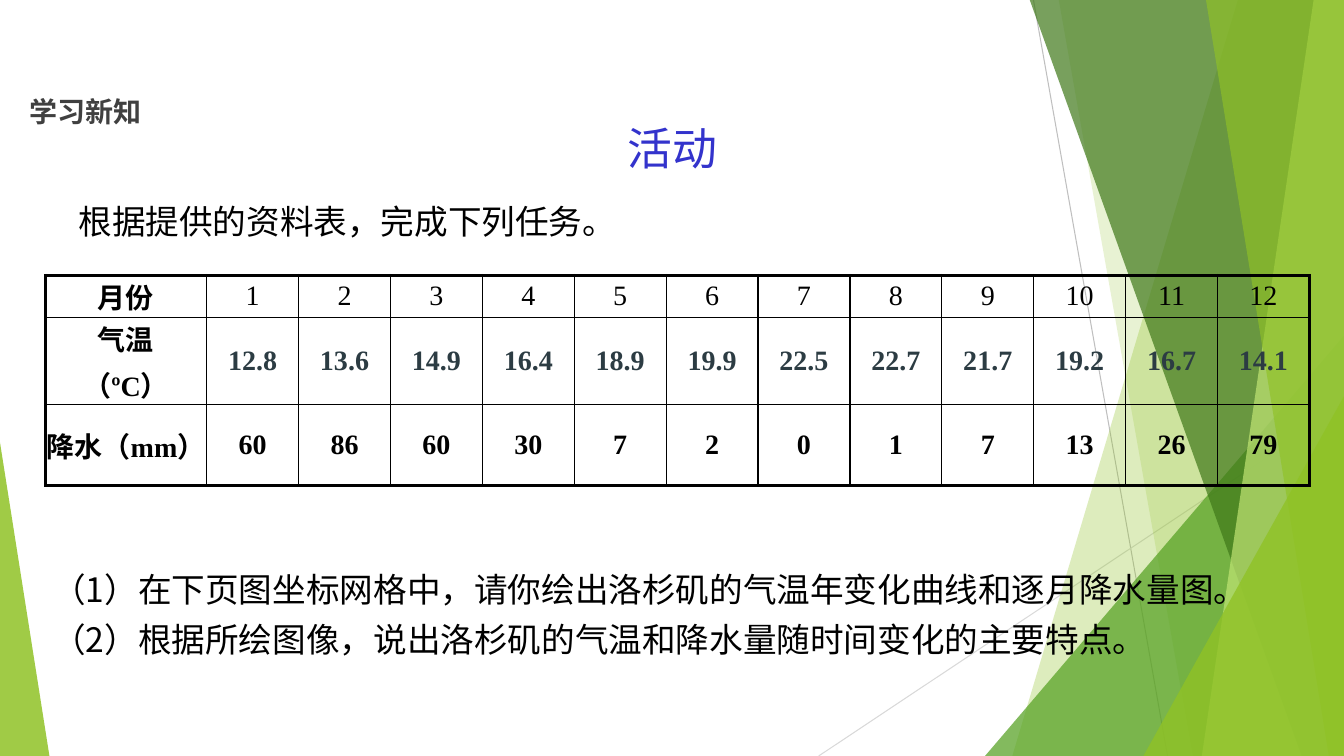
from lxml import etree
from pptx import Presentation
from pptx.dml.color import RGBColor
from pptx.enum.shapes import MSO_CONNECTOR, MSO_SHAPE
from pptx.enum.text import MSO_ANCHOR, PP_ALIGN
from pptx.oxml.ns import qn
from pptx.util import Emu, Pt

STRAIGHT = MSO_CONNECTOR.STRAIGHT
TRIANGLE = MSO_SHAPE.ISOSCELES_TRIANGLE
CENTER, LEFT, MIDDLE = PP_ALIGN.CENTER, PP_ALIGN.LEFT, MSO_ANCHOR.MIDDLE
PX = 9144  # 100 px to the inch
SLIDE_W, SLIDE_H = 1333, 750
SANS, SERIF = "Noto Sans CJK SC", "Times New Roman"
BLACK = "000000"

# Backdrop, from back to front
RAYS = [((1025, 0), (1158, 750), "BFBFBF"), ((1333, 403), (812, 750), "D9D9D9")]
# band: top left x, bottom left x, colour, opacity; each runs to the right edge
# triangle: box, apex position, colour, opacity
BACKDROP = [
    ("band", (1228, 1004), "90C226", 30),
    ("band", (1050, 1183), "90C226", 20),
    ("triangle", (977, 333, 356, 417), 1, "54A021", 72),
    ("band", (1021, 1291), "3F7819", 70),
    ("band", (1303, 1192), "C0E474", 70),
    ("band", (1196, 1318), "90C226", 65),
    ("triangle", (1134, 393, 199, 357), 1, "90C226", 80),
    ("triangle", (0, 439, 49, 311), 0, "90C226", 85),
]

# Climate table: label lines, monthly values, value format
CLIMATE_ROWS = [
    (["月份"], list(range(1, 13)), {"bold": False, "color": BLACK}),
    (["气温", "（ºC）"],
     [12.8, 13.6, 14.9, 16.4, 18.9, 19.9, 22.5, 22.7, 21.7, 19.2, 16.7, 14.1],
     {"bold": True, "color": "2C3C43"}),
    (["降水（mm）"], [60, 86, 60, 30, 7, 2, 0, 1, 7, 13, 26, 79],
     {"bold": True, "color": BLACK}),
]
TABLE_BOX = (45, 273, 1254, 182)
LABEL_WIDTH = 160
ROW_HEIGHTS = [42, 73, 67]
LABEL_FORMAT = {"bold": True, "color": BLACK}
THIN, THICK = 1, 2.25

# Text: box, lines, font format, paragraph format, wrap
TEXTS = [
    ((68, 194, 1186, 50), ["根据提供的资料表，完成下列任务。"],
     {"size": Pt(24), "color": BLACK}, {"alignment": LEFT}, True),
    ((42, 549, 1226, 106),
     ["（1）在下页图坐标网格中，请你绘出洛杉矶的气温年变化曲线和逐月降水量图。",
      "（2）根据所绘图像，说出洛杉矶的气温和降水量随时间变化的主要特点。"],
     {"size": Pt(24), "color": BLACK}, {"alignment": LEFT, "line_spacing": 1.25}, True),
    ((606, 115, 122, 45), ["活动"],
     {"size": Pt(32), "color": "B2B2B2", "opacity": 50, "outline": "3333CC"},
     {"alignment": CENTER}, False),
    ((19, 89, 132, 44), ["学习新知"],
     {"size": Pt(20), "color": "404040", "bold": True}, {"alignment": LEFT}, False),
]


def px(*lengths):
    return [Emu(length * PX) for length in lengths]


def rgb(color):
    return RGBColor.from_string(color)


def set_alpha(owner, opacity):
    color = next(owner.iter(qn("a:srgbClr")))
    etree.SubElement(color, qn("a:alpha"), val=str(opacity * 1000))


def solid_line(parent, tag, color, width):
    """Append a line element of the given width in points."""
    line = etree.SubElement(parent, qn(tag), w=str(int(Pt(width))))
    fill = etree.SubElement(line, qn("a:solidFill"))
    etree.SubElement(fill, qn("a:srgbClr"), val=color)
    return line


def write(paragraph, text, font_format, paragraph_format, typeface):
    for name, value in paragraph_format.items():
        setattr(paragraph, name, value)
    run = paragraph.add_run()
    run.text = text
    font = run.font
    font.name = typeface
    properties = run._r.get_or_add_rPr()
    if typeface == SANS:
        etree.SubElement(properties, qn("a:ea"), typeface=typeface)
    for name, value in font_format.items():
        if name == "color":
            font.color.rgb = rgb(value)
        elif name == "opacity":
            set_alpha(properties, value)
        elif name == "outline":
            properties.insert(0, solid_line(properties, "a:ln", value, 1))
        else:
            setattr(font, name, value)


def draw_backdrop(shapes):
    for start, end, color in RAYS:
        ray = shapes.add_connector(STRAIGHT, *px(*start, *end))
        ray.line.color.rgb = rgb(color)
        ray.line.width = Pt(0.75)
        etree.SubElement(ray._element.spPr, qn("a:effectLst"))
    for kind, geometry, *apex, color, opacity in BACKDROP:
        if kind == "band":
            top_x, bottom_x = geometry
            outline = shapes.build_freeform(top_x, -1, scale=PX)
            outline.add_line_segments(
                [(SLIDE_W, -1), (SLIDE_W, SLIDE_H), (bottom_x, SLIDE_H)], close=True)
            pane = outline.convert_to_shape()
        else:
            pane = shapes.add_shape(TRIANGLE, *px(*geometry))
            pane.adjustments[0] = apex[0]
        pane.shadow.inherit = False
        pane.fill.solid()
        pane.fill.fore_color.rgb = rgb(color)
        set_alpha(pane._element.spPr, opacity)
        pane.line.fill.background()


def fill_cell(cell, lines, font_format, thick_sides):
    cell.vertical_anchor = MIDDLE
    cell.margin_left = cell.margin_right = cell.margin_top = cell.margin_bottom = 0
    properties = cell._tc.get_or_add_tcPr()
    for side in "LRTB":
        solid_line(properties, f"a:ln{side}", BLACK, THICK if side in thick_sides else THIN)
    cell.fill.background()
    frame = cell.text_frame
    for index, line in enumerate(lines):
        paragraph = frame.add_paragraph() if index else frame.paragraphs[0]
        write(paragraph, line, {"size": Pt(20), **font_format},
              {"alignment": CENTER, "space_before": Pt(4)}, SERIF)


def draw_climate_table(shapes):
    months = len(CLIMATE_ROWS[0][1])
    table = shapes.add_table(len(CLIMATE_ROWS), months + 1, *px(*TABLE_BOX)).table
    table.first_row = table.horz_banding = False
    month_width = Emu((TABLE_BOX[2] - LABEL_WIDTH) * PX // months)
    for index, column in enumerate(table.columns):
        column.width = month_width if index else px(LABEL_WIDTH)[0]
    for r, (label, values, value_format) in enumerate(CLIMATE_ROWS):
        table.rows[r].height = px(ROW_HEIGHTS[r])[0]
        for c, lines in enumerate([label] + [[str(value)] for value in values]):
            edges = {"L": c == 0, "R": c == months,
                     "T": r == 0, "B": r == len(CLIMATE_ROWS) - 1}
            fill_cell(table.cell(r, c), lines, value_format if c else LABEL_FORMAT,
                      [side for side, outer in edges.items() if outer])


def draw_texts(shapes):
    for box, lines, font_format, paragraph_format, wrap in TEXTS:
        frame = shapes.add_textbox(*px(*box)).text_frame
        frame.word_wrap = wrap
        for index, line in enumerate(lines):
            paragraph = frame.add_paragraph() if index else frame.paragraphs[0]
            write(paragraph, line, font_format, paragraph_format, SANS)


def main():
    deck = Presentation()
    deck.slide_width, deck.slide_height = px(SLIDE_W, SLIDE_H)
    shapes = deck.slides.add_slide(deck.slide_layouts[6]).shapes
    draw_backdrop(shapes)
    draw_climate_table(shapes)
    draw_texts(shapes)
    deck.save("out.pptx")


if __name__ == "__main__":
    main()
